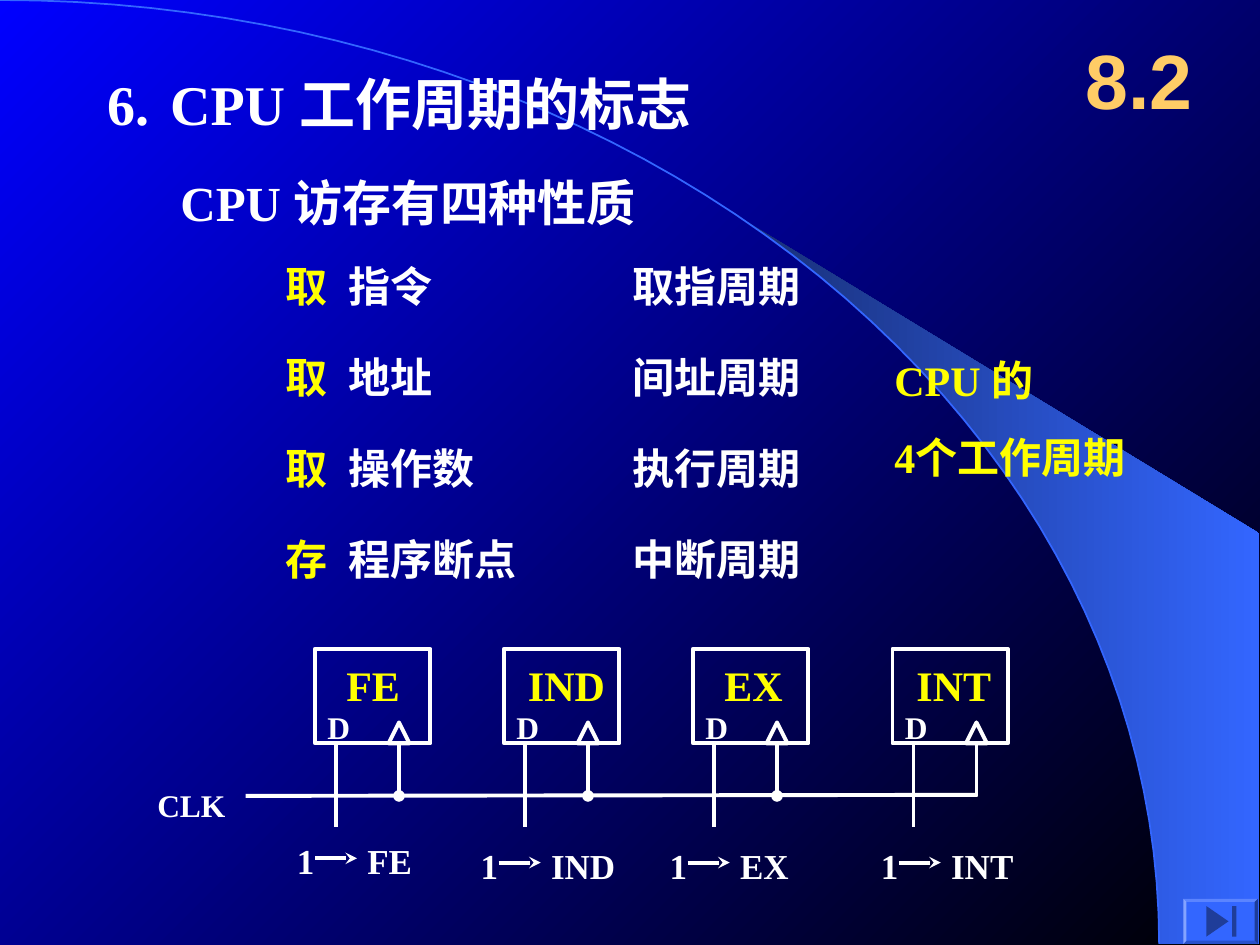
import math
from dataclasses import dataclass

import pptx
import pptx.util
import pptx.dml.color
import pptx.enum.shapes
import pptx.enum.text
import pptx.oxml
import pptx.oxml.ns

SHAPE = pptx.enum.shapes.MSO_SHAPE
ALIGN = pptx.enum.text.PP_ALIGN
ANCHOR = pptx.enum.text.MSO_ANCHOR
COLUMNS, ROWS = 120, 90  # page grid, one cell is 1/12 inch
CELL = pptx.util.Inches(1) // 12


@dataclass(frozen=True)
class Theme:
    serif: str = "Times New Roman"
    sans: str = "Arial"
    white: str = "FFFFFF"
    yellow: str = "FFFF00"
    orange: str = "FFCC66"
    blue: str = "3366FF"
    navy: str = "182F76"
    icon: str = "1F3D99"
    back: tuple = ("0000FF", "000000")
    section: int = 44
    heading: int = 32
    subheading: int = 28
    body: int = 24
    signal: int = 20
    small: int = 18
    line: float = 2.25


@dataclass(frozen=True)
class Box:
    x: float
    y: float
    w: float
    h: float

    def inner(self, x, y, w, h):
        return Box(self.x + x, self.y + y, w, h)

    def emu(self):
        return [cells(v) for v in (self.x, self.y, self.w, self.h)]


THEME = Theme()


def cells(count):
    return round(count * CELL)


def rgb(code):
    return pptx.dml.color.RGBColor.from_string(code)


def apply(target, values):
    for name, value in values.items():
        setattr(target, name, value)


def add_xml(parent, tag, content=""):
    names = pptx.oxml.ns.nsdecls("a")
    parent.append(pptx.oxml.parse_xml(f"<a:{tag} {names}>{content}</a:{tag.split()[0]}>"))


def gradient(fill, colors, angle):
    fill.gradient()
    fill.gradient_angle = angle
    for stop, code in zip(fill.gradient_stops, colors):
        stop.color.rgb = rgb(code)


def write(shape, box, paras, size, font=THEME.serif, wrap=True, align=ALIGN.LEFT,
          anchor=ANCHOR.TOP, tab=None, leading=None, gap=0):
    """Fill a text shape; each paragraph is a list of (text, colour) spans."""
    apply(shape, dict(zip(("left", "top", "width", "height"), box.emu())))
    frame = shape.text_frame
    apply(frame, {"word_wrap": wrap, "vertical_anchor": anchor,
                  "auto_size": pptx.enum.text.MSO_AUTO_SIZE.NONE})
    for index, spans in enumerate(paras):
        para = frame.add_paragraph() if index else frame.paragraphs[0]
        props = para._p.get_or_add_pPr()
        props.set("marL", "0")
        props.set("indent", "0")
        add_xml(props, "buNone")
        if tab:
            add_xml(props, "tabLst", f'<a:tab pos="{cells(tab)}" algn="l"/>')
        before = pptx.util.Pt(gap if index else 0)
        apply(para, {"alignment": align, "space_before": before})
        if leading:
            para.line_spacing = pptx.util.Pt(leading)
        for text, color in spans:
            span = para.add_run()
            span.text = text
            apply(span.font, {"name": font, "size": pptx.util.Pt(size), "bold": True})
            span.font.color.rgb = rgb(color)


def label(page, box, text, size, color=THEME.white, **style):
    write(page.shapes.add_textbox(*box.emu()), box, [[(text, color)]], size, **style)


def draw(page, kind, box, fill=None, outline=None):
    shape = page.shapes.add_shape(kind, *box.emu())
    paint(shape, fill, outline)
    return shape


def paint(shape, fill=None, outline=None, width=THEME.line):
    shape.shadow.inherit = False
    for surface, color in ((shape.fill, fill), (shape.line.fill, outline)):
        if color:
            surface.solid()
            surface.fore_color.rgb = rgb(color)
        else:
            surface.background()
    if outline:
        shape.line.width = pptx.util.Pt(width)


def wire(page, start, end, tail=None):
    line = page.shapes.add_connector(pptx.enum.shapes.MSO_CONNECTOR.STRAIGHT,
                                     *[cells(v) for v in (*start, *end)])
    line.line.color.rgb = rgb(THEME.white)
    line.line.width = pptx.util.Pt(THEME.line)
    props = line._element.spPr
    if tail:
        add_xml(props.find(pptx.oxml.ns.qn("a:ln")), f'tailEnd type="{tail}"')
    add_xml(props, "effectLst")


def outline_shape(page, points, close):
    points = [(cells(x), cells(y)) for x, y in points]
    builder = page.shapes.build_freeform(*points[0])
    builder.add_line_segments(points[1:], close=close)
    return builder.convert_to_shape()


def backdrop(page, box):
    """Gradient ground, quarter ellipse and the beam touching it."""
    gradient(page.background.fill, THEME.back, 315)

    def arc(first, last, steps=48):
        angles = [math.radians(first + (last - first) * i / steps) for i in range(steps + 1)]
        return [(box.x + 110.4 * math.sin(a), box.y + 89.9 * (1 - math.cos(a)))
                for a in angles]

    right = box.x + box.w - 0.1
    beam = outline_shape(page, arc(39.8, 90) + [(right, 89.9), (right, 50.8)], True)
    paint(beam)
    gradient(beam.fill, (THEME.navy, THEME.blue), 0)
    paint(outline_shape(page, arc(0, 90), False), outline=THEME.blue, width=1)


def headings(page, box):
    write(page.shapes.title, box.inner(9, 6, 75, 7.7),
          [[("6.\tCPU 工作周期的标志", THEME.white)]], THEME.heading, tab=6.66)
    label(page, box.inner(16, 15.8, 70, 6.8), "CPU 访存有四种性质", THEME.subheading)
    label(page, box.inner(101, 2, 15, 11), "8.2", THEME.section, THEME.orange,
          font=THEME.sans, align=ALIGN.CENTER, anchor=ANCHOR.MIDDLE)


def cycle_lists(page, box):
    """Kinds of memory access, their cycles, and the summary beside them."""
    accesses = [("取", "指令"), ("取", "地址"), ("取", "操作数"), ("存", "程序断点")]
    cycles = ["取指周期", "间址周期", "执行周期", "中断周期"]
    left, right = list(page.placeholders)[1:]
    style = {"size": THEME.body, "leading": 30, "gap": 22}
    write(left, box.inner(0, 0, 29, 32),
          [[(verb, THEME.yellow), ("\t" + what, THEME.white)] for verb, what in accesses],
          tab=5.8, **style)
    write(right, box.inner(33, 0, 29, 32), [[(c, THEME.white)] for c in cycles], **style)
    summary = box.inner(58, 9, 35, 13.3)
    write(page.shapes.add_textbox(*summary.emu()), summary,
          [[(text, THEME.yellow)] for text in ("CPU 的", "4个工作周期")],
          THEME.body, leading=30, gap=14)


def register(page, box, name, indent, last):
    """One flip-flop with its data lead and clock lead."""
    label(page, box.inner(indent, 0.45, 9.5, 6), name, THEME.body, THEME.yellow, wrap=False)
    draw(page, SHAPE.RECTANGLE, box, outline=THEME.white)
    label(page, box.inner(0, 5, 4.5, 4.8), "D", THEME.small, wrap=False)
    draw(page, SHAPE.ISOSCELES_TRIANGLE, box.inner(7, 7, 2, 2), outline=THEME.white)
    bottom = box.y + box.h
    wire(page, (box.x + 2, bottom), (box.x + 2, bottom + 8))
    wire(page, (box.x + 8, bottom), (box.x + 8, bottom + 5), None if last else "oval")


def signal(page, box, name):
    """The mark 1 → name below a register."""
    label(page, box.inner(0, 0, 4, 5.3), "1", THEME.signal, wrap=False)
    y = box.y + 2.35
    wire(page, (box.x + 2.9, y), (box.x + 6.9, y), "stealth")
    label(page, box.inner(6.7, 0, 8.5, 5.3), name, THEME.signal, wrap=False)


def clock_diagram(page, box):
    # name, register column, name indent, signal column, signal row
    stages = [("FE", 30, 1.8, 27.1, 17.6), ("IND", 48, 1.1, 44.6, 18),
              ("EX", 66, 1.8, 62.6, 18), ("INT", 85, 1.1, 82.7, 18)]
    label(page, box.inner(13.8, 12.5, 8.9, 4.8), "CLK", THEME.small, wrap=False)
    wire(page, (box.x + 23.4, box.y + 14), (box.x + 93.1, box.y + 13.9))
    for name, column, indent, mark, row in stages:
        register(page, box.inner(column, 0, 11, 9), name, indent, name == "INT")
        signal(page, box.inner(mark, row, 15, 5.3), name)


def end_button(page, box):
    face = draw(page, SHAPE.BEVEL, box, THEME.blue)
    face.adjustments[0] = 0.07
    arrow = draw(page, SHAPE.ISOSCELES_TRIANGLE, box.inner(1.8, 1.1, 2.9, 2.1), THEME.icon)
    arrow.rotation = 90
    draw(page, SHAPE.RECTANGLE, box.inner(4.65, 0.7, 0.4, 2.9), THEME.icon)


def main():
    deck = pptx.Presentation()
    deck.slide_width, deck.slide_height = cells(COLUMNS), cells(ROWS)
    page = deck.slides.add_slide(deck.slide_layouts[3])
    full = Box(0, 0, COLUMNS, ROWS)
    backdrop(page, full)
    headings(page, full)
    cycle_lists(page, full.inner(26, 24, 94, 34))
    clock_diagram(page, full.inner(0, 61.8, COLUMNS, 24))
    end_button(page, full.inner(112.7, 85.6, 7.1, 4.3))
    # Text goes in front of the backdrop
    for holder in list(page.placeholders):
        page.shapes._spTree.append(holder._element)
    deck.save("out.pptx")


if __name__ == "__main__":
    main()
